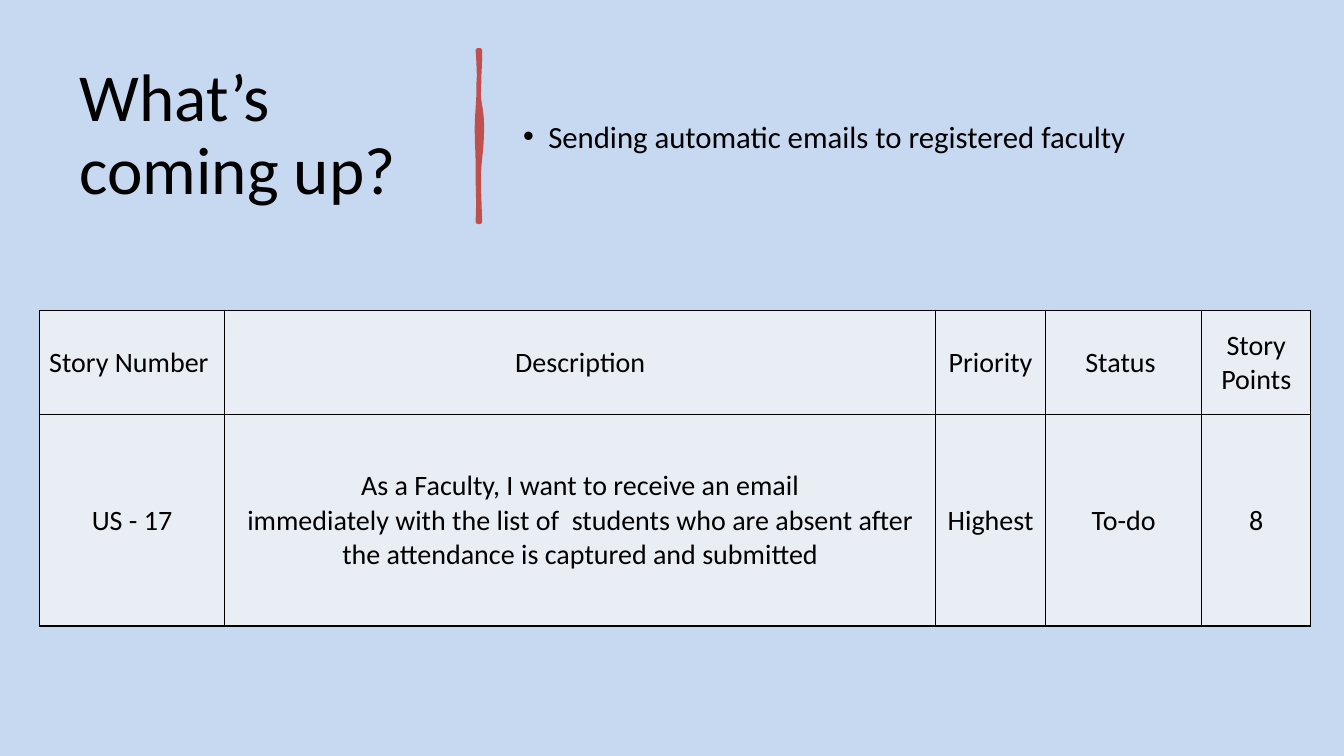
"""Build the upcoming work slide with a title, a bullet and a story table."""
from dataclasses import dataclass

from lxml.etree import SubElement
from pptx import Presentation
from pptx.dml.color import RGBColor
from pptx.enum.text import MSO_ANCHOR, PP_ALIGN
from pptx.oxml.ns import qn
from pptx.util import Pt

SCALE = 9144
SLIDE = (1333, 750)

TITLE = "What’s coming up?"
TITLE_BOX = (69, 55, 374, 160)
BULLET = "Sending automatic emails to registered faculty"
BULLET_BOX = (509, 55, 754, 160)
BULLET_INDENT = 25
BOX_INSETS = (10, 5, 10, 5)

STORIES = [
    ["Story Number ", "Description", "Priority", "Status ", "Story Points"],
    [
        "US - 17",
        "As a Faculty, I want to receive an email\n"
        "immediately with the list of  students who are absent after "
        "the attendance is captured and submitted",
        "Highest",
        "To-do",
        "8",
    ],
]
TABLE_CORNER = (39, 308)
COLUMNS = (184, 705, 109, 155, 108)
ROWS = (103, 210)
CELL_INSETS = (1, 1, 1, 0)

STROKE_START = (476, 50)
STROKE_CURVES = [
    ((476, 77), (473, 90), (476, 105)),
    ((479, 120), (478, 139), (476, 157)),
    ((474, 174), (475, 189), (476, 220)),
    ((475, 220), (475, 220), (474, 220)),
    ((475, 196), (474, 193), (474, 167)),
    ((474, 140), (472, 136), (474, 107)),
    ((476, 77), (475, 65), (474, 50)),
]
CURVE_STEPS = 8


@dataclass(frozen=True)
class Theme:
    """Colours, font and type sizes of the slide."""

    font: str = "Calibri"
    background: str = "C6D9F1"
    ink: str = "000000"
    accent: str = "C0504D"
    cell: str = "E9EDF4"
    title_size: float = 48
    bullet_size: float = 22
    table_size: float = 20
    stroke_width: float = 3.25
    border_width: float = 1


THEME = Theme()


def px(length):
    """Turn px into EMU."""
    return round(length * SCALE)


def paint(fill, colour):
    """Set a solid fill."""
    fill.solid()
    fill.fore_color.rgb = RGBColor.from_string(colour)


def set_insets(holder, insets):
    """Set the four margins of a text frame or a cell."""
    sides = ("left", "top", "right", "bottom")
    for side, inset in zip(sides, insets):
        setattr(holder, f"margin_{side}", px(inset))


def add_span(para, text, size):
    """Add one styled run."""
    span = para.add_run()
    span.text = text
    span.font.name = THEME.font
    span.font.size = Pt(size)
    span.font.bold = False
    span.font.color.rgb = RGBColor.from_string(THEME.ink)


def add_text(page, place, text, size):
    """Add a wrapped, vertically centred text box and return its paragraph."""
    box = page.shapes.add_textbox(*map(px, place))
    frame = box.text_frame
    frame.word_wrap = True
    frame.vertical_anchor = MSO_ANCHOR.MIDDLE
    set_insets(frame, BOX_INSETS)
    para = frame.paragraphs[0]
    add_span(para, text, size)
    return para


def add_bullet(para):
    """Give a paragraph a hanging bullet."""
    para.space_before = Pt(10)
    properties = para._p.get_or_add_pPr()
    properties.set("marL", str(px(BULLET_INDENT)))
    properties.set("indent", str(-px(BULLET_INDENT)))
    SubElement(properties, qn("a:buFont"), typeface="Arial")
    SubElement(properties, qn("a:buChar"), char="•")


def curve_points(start, curves):
    """Yield points along a chain of cubic curves."""
    for first, second, end in curves:
        for step in range(1, CURVE_STEPS + 1):
            t = step / CURVE_STEPS
            weights = ((1 - t) ** 3, 3 * t * (1 - t) ** 2, 3 * t * t * (1 - t), t**3)
            corners = (start, first, second, end)
            yield tuple(
                px(sum(weight * corner[axis] for weight, corner in zip(weights, corners)))
                for axis in (0, 1)
            )
        start = end


def add_stroke(page):
    """Draw the uneven upright divider."""
    builder = page.shapes.build_freeform(*map(px, STROKE_START))
    builder.add_line_segments(list(curve_points(STROKE_START, STROKE_CURVES)), close=True)
    stroke = builder.convert_to_shape()
    stroke.shadow.inherit = False
    paint(stroke.fill, THEME.accent)
    paint(stroke.line.fill, THEME.accent)
    stroke.line.width = Pt(THEME.stroke_width)


def add_borders(cell):
    """Draw all four borders of a cell."""
    properties = cell._tc.get_or_add_tcPr()
    for index, side in enumerate(("lnL", "lnR", "lnT", "lnB")):
        line = properties.makeelement(qn(f"a:{side}"), {"w": str(Pt(THEME.border_width))})
        SubElement(SubElement(line, qn("a:solidFill")), qn("a:srgbClr"), val=THEME.ink)
        properties.insert(index, line)


def fill_cell(cell, text):
    """Write and style one table cell."""
    set_insets(cell, CELL_INSETS)
    cell.vertical_anchor = MSO_ANCHOR.MIDDLE
    paint(cell.fill, THEME.cell)
    add_borders(cell)
    para = cell.text_frame.paragraphs[0]
    para.alignment = PP_ALIGN.CENTER
    for index, line in enumerate(text.split("\n")):
        if index:
            para.add_line_break()
        add_span(para, line, THEME.table_size)


def add_stories(page):
    """Add the story table."""
    place = (*TABLE_CORNER, sum(COLUMNS), sum(ROWS))
    table = page.shapes.add_table(len(ROWS), len(COLUMNS), *map(px, place)).table
    table.first_row = False
    table.horz_banding = False
    for column, width in zip(table.columns, COLUMNS):
        column.width = px(width)
    for row, height, texts in zip(table.rows, ROWS, STORIES):
        row.height = px(height)
        for cell, text in zip(row.cells, texts):
            fill_cell(cell, text)


def main():
    """Build and save the deck."""
    deck = Presentation()
    deck.slide_width, deck.slide_height = map(px, SLIDE)
    page = deck.slides.add_slide(deck.slide_layouts[6])
    paint(page.background.fill, THEME.background)
    add_text(page, TITLE_BOX, TITLE, THEME.title_size).line_spacing = 0.9
    add_stroke(page)
    add_bullet(add_text(page, BULLET_BOX, BULLET, THEME.bullet_size))
    add_stories(page)
    deck.save("out.pptx")


if __name__ == "__main__":
    main()
